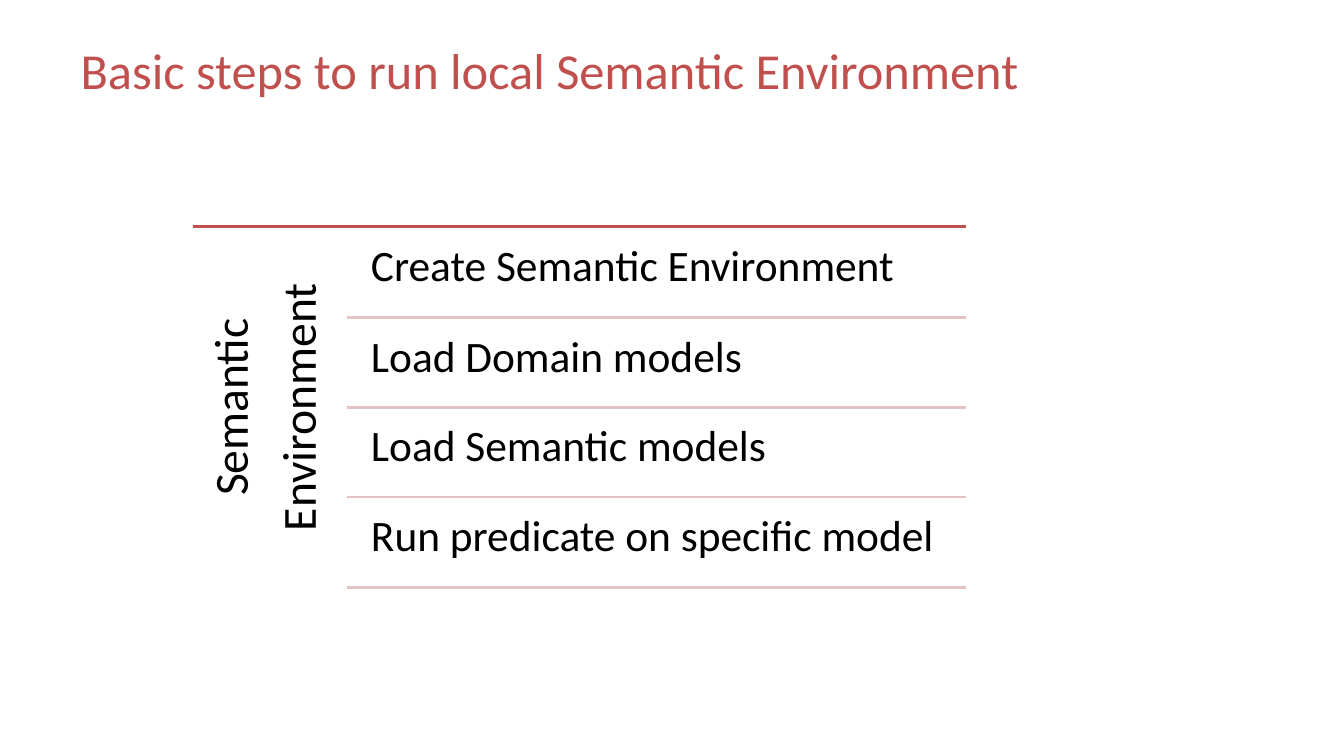
from dataclasses import dataclass

from lxml import etree
from pptx import Presentation
from pptx import util as u
from pptx.dml.color import RGBColor
from pptx.enum import shapes, text
from pptx.oxml.ns import qn

PX = 9144


@dataclass(frozen=True)
class Theme:
    """Colours, font and type sizes of the slide."""
    font: str = "Calibri"
    accent: str = "C0504D"
    divider: str = "E2C2C2"
    ink: str = "000000"
    title_size: int = 36
    topic_size: int = 34
    step_size: int = 31
    rule_width: int = 2


THEME = Theme()
STEPS = (
    "Create Semantic Environment",
    "Load Domain models",
    "Load Semantic models",
    "Run predicate on specific model",
)


def px(length):
    """Turn whole pixels into EMU."""
    return u.Emu(length * PX)


def add_text(slide, box, lines, size, color, margins, frame_format=None, paragraph_format=None):
    """Place one paragraph per line in the box and return the text frame."""
    frame = slide.shapes.add_textbox(*map(px, box)).text_frame
    horizontal, vertical = map(px, margins)
    frame_values = {
        "word_wrap": True,
        "margin_left": horizontal, "margin_right": horizontal,
        "margin_top": vertical, "margin_bottom": vertical,
        **(frame_format or {}),
    }
    for name, value in frame_values.items():
        setattr(frame, name, value)
    for index, line in enumerate(lines):
        paragraph = frame.add_paragraph() if index else frame.paragraphs[0]
        for name, value in (paragraph_format or {}).items():
            setattr(paragraph, name, value)
        run = paragraph.add_run()
        run.text = line
        for name, value in {"name": THEME.font, "size": u.Pt(size)}.items():
            setattr(run.font, name, value)
        run.font.color.rgb = RGBColor.from_string(color)
    return frame


def add_rule(slide, left, right, top, color):
    """Draw a horizontal rule."""
    rule = slide.shapes.add_connector(
        shapes.MSO_CONNECTOR.STRAIGHT, px(left), px(top), px(right), px(top))
    rule.line.color.rgb = RGBColor.from_string(color)
    rule.line.width = u.Pt(THEME.rule_width)
    etree.SubElement(rule._element.spPr, qn("a:effectLst"))


def add_title(slide, box, title):
    """Write the slide title, centred vertically in its box."""
    add_text(slide, box, [title], THEME.title_size, THEME.accent, (13, 7),
             {"vertical_anchor": text.MSO_ANCHOR.MIDDLE})


def add_topic(slide, box, lines):
    """Write the topic of the list, reading upwards."""
    frame = add_text(slide, box, lines, THEME.topic_size, THEME.ink, (14, 14),
                     paragraph_format={"alignment": text.PP_ALIGN.CENTER,
                                       "line_spacing": 0.9, "space_after": u.Pt(12)})
    frame._txBody.bodyPr.set("vert", "vert270")


def add_steps(slide, box, steps):
    """Stack the steps in equal rows, each closed by a divider."""
    left, top, width, height = box
    indent, gap, text_height = 11, 4, 85
    for index, step in enumerate(steps):
        row_top, row_bottom = (top + round(height * edge / len(steps))
                               for edge in (index, index + 1))
        add_text(slide, (left + indent, row_top + gap, width - indent, text_height),
                 [step], THEME.step_size, THEME.ink, (13, 13),
                 paragraph_format={"line_spacing": 0.9})
        add_rule(slide, left, left + width, row_bottom, THEME.divider)


def add_step_list(slide, box, topic, steps):
    """Draw the ruled list: topic in the left fifth, steps beside it."""
    left, top, width, height = box
    topic_width = width // 5
    add_rule(slide, left, left + width, top, THEME.accent)
    add_topic(slide, (left, top, topic_width, height), topic)
    add_steps(slide, (left + topic_width, top, width - topic_width, height), steps)


def main():
    """Build and save the presentation."""
    presentation = Presentation()
    presentation.slide_width, presentation.slide_height = px(1333), px(750)
    slide = presentation.slides.add_slide(presentation.slide_layouts[6])
    add_title(slide, (67, 30, 1200, 78), "Basic steps to run local Semantic Environment")
    add_step_list(slide, (191, 225, 767, 358), ("Semantic", "Environment"), STEPS)
    presentation.save("out.pptx")


if __name__ == "__main__":
    main()
